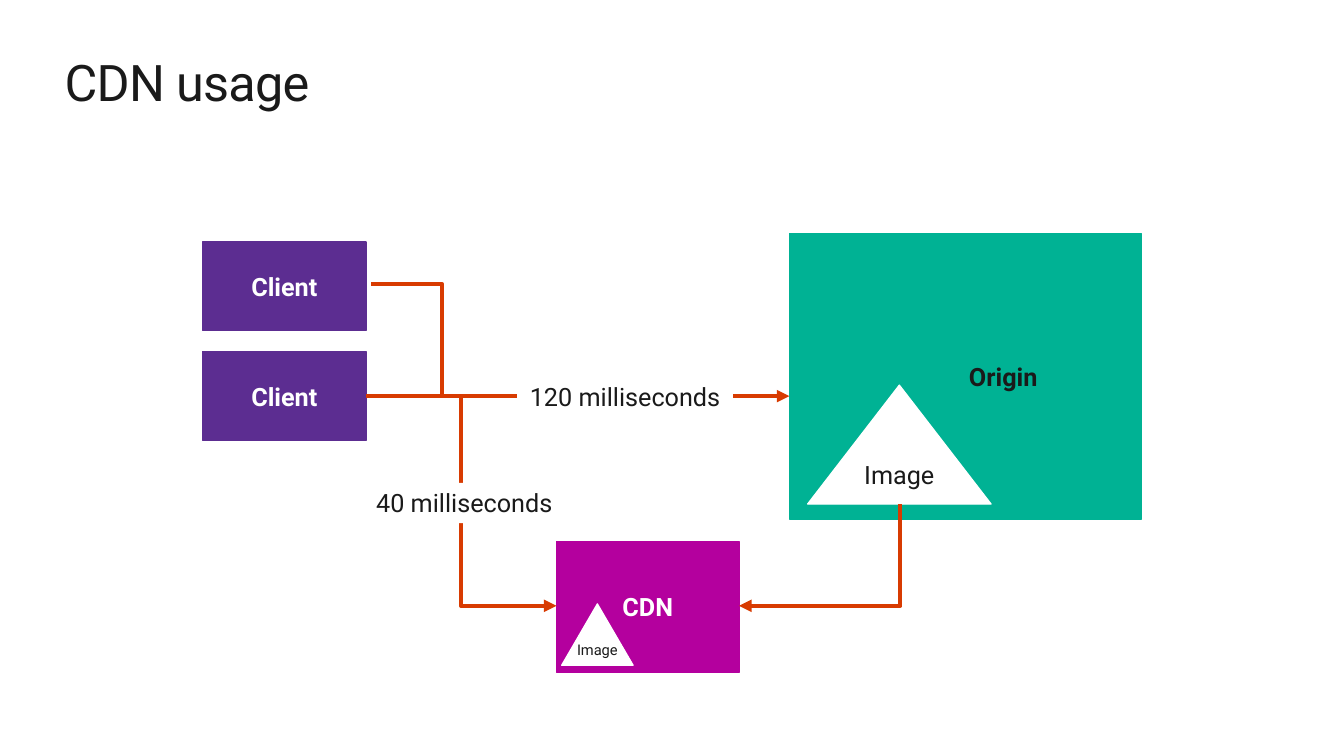
from dataclasses import dataclass

from lxml.etree import SubElement
from pptx import Presentation
from pptx.dml.color import RGBColor
from pptx.enum.shapes import MSO_CONNECTOR, MSO_SHAPE as Preset
from pptx.enum.text import MSO_ANCHOR as Anchor, MSO_AUTO_SIZE as AutoSize, PP_ALIGN as Align
from pptx.oxml.ns import qn
from pptx.slide import Slide
from pptx.text.text import TextFrame
from pptx.util import Inches, Pt

FONT = "Roboto"
COLORS = {
    "client": "5C2D91",
    "origin": "00B294",
    "cdn": "B4009E",
    "arrow": "D83B01",
    "white": "FFFFFF",
    "text": "1A1A1A",
}
Insets = tuple[float, float, float, float]
Point = tuple[float, float]


@dataclass
class Box:
    text: str
    left: float
    top: float
    width: float
    height: float
    fill: str
    color: str = "text"
    bold: bool = False
    size: float = 18
    preset: Preset = Preset.RECTANGLE
    insets: Insets = (0.1, 0.05, 0.1, 0.05)
    wrap: bool = True
    is_label: bool = False


@dataclass
class Elbow:
    start: Point
    end: Point
    bend: float = 0.5
    starts_down: bool = False


NODES = [
    Box("Client", 2.01, 2.4, 1.62, 0.88, "client", "white", True),
    Box("Client", 2.01, 3.49, 1.62, 0.88, "client", "white", True),
    Box("Origin", 7.83, 2.32, 3.49, 2.83, "origin", bold=True, insets=(0.79, 0, 0.04, 0)),
    Box("CDN", 5.52, 5.37, 1.81, 1.3, "cdn", "white", True),
    Box("Image", 5.57, 5.99, 0.71, 0.61, "white", size=10.5, preset=Preset.ISOSCELES_TRIANGLE,
        insets=(0, 0, 0, 0), wrap=False),
    Box("Image", 8.01, 3.82, 1.82, 1.18, "white", preset=Preset.ISOSCELES_TRIANGLE),
]
ELBOWS = [
    Elbow((8.93, 5), (7.33, 6.01), starts_down=True),
    Elbow((3.63, 3.93), (5.52, 6.01)),
    Elbow((3.68, 2.82), (7.83, 3.93), bend=0.17),
]
LABELS = [
    Box("120 milliseconds", 5.13, 3.73, 2.14, 0.4, "white", is_label=True),
    Box("40 milliseconds", 3.26, 4.79, 2.69, 0.4, "white", is_label=True),
]


def rgb(name: str) -> RGBColor:
    return RGBColor.from_string(COLORS[name])


def set_insets(tf: TextFrame, insets: Insets) -> None:
    tf.margin_left, tf.margin_top, tf.margin_right, tf.margin_bottom = map(Inches, insets)


def write(tf: TextFrame, text: str, size: float, color: str, bold: bool, align: Align) -> None:
    tf.text = text
    p = tf.paragraphs[0]
    p.alignment = align
    font = p.runs[0].font
    font.name, font.size, font.bold = FONT, Pt(size), bold
    font.color.rgb = rgb(color)


def add_title(slide: Slide, text: str) -> None:
    sp = slide.shapes.title
    sp.left, sp.top, sp.width, sp.height = map(Inches, (0.64, 0.51, 12.05, 0.61))
    tf = sp.text_frame
    write(tf, text, 36, "text", False, Align.LEFT)
    set_insets(tf, (0, 0, 0, 0))
    tf.vertical_anchor = Anchor.TOP
    tf.auto_size = AutoSize.SHAPE_TO_FIT_TEXT
    tf.paragraphs[0].runs[0].font._element.set("spc", "-50")


def add_box(slide: Slide, box: Box) -> None:
    frame = map(Inches, (box.left, box.top, box.width, box.height))
    sp = slide.shapes.add_shape(box.preset, *frame)
    sp.shadow.inherit = False
    sp.fill.solid()
    sp.fill.fore_color.rgb = rgb(box.fill)
    tf = sp.text_frame
    write(tf, box.text, box.size, box.color, box.bold, Align.CENTER)
    set_insets(tf, box.insets)
    tf.word_wrap = box.wrap
    if box.is_label:
        sp.line.fill.background()
        tf.vertical_anchor = Anchor.TOP
        tf.auto_size = AutoSize.SHAPE_TO_FIT_TEXT
    else:
        sp.line.color.rgb = rgb(box.fill)
        sp.line.width = Pt(0.85)
        tf.vertical_anchor = Anchor.MIDDLE


def add_elbow(slide: Slide, elbow: Elbow) -> None:
    """Draw an arrow that bends twice, or once if it starts downwards and ends to the left."""
    (x1, y1), (x2, y2) = elbow.start, elbow.end
    if elbow.starts_down:
        # A quarter turn about the centre swaps the width and height of the frame.
        cx, cy = (x1 + x2) / 2, (y1 + y2) / 2
        half_w, half_h = abs(y2 - y1) / 2, abs(x2 - x1) / 2
        x1, y1, x2, y2 = cx - half_w, cy - half_h, cx + half_w, cy + half_h
    line = slide.shapes.add_connector(MSO_CONNECTOR.ELBOW, *map(Inches, (x1, y1, x2, y2)))
    line.line.color.rgb = rgb("arrow")
    line.line.width = Pt(3)
    sp_pr = line._element.spPr
    geometry = sp_pr.find(qn("a:prstGeom"))
    if elbow.starts_down:
        geometry.set("prst", "bentConnector2")
        sp_pr.find(qn("a:xfrm")).set("rot", str(90 * 60000))
    else:
        guides = geometry.find(qn("a:avLst"))
        SubElement(guides, qn("a:gd"), name="adj1", fmla=f"val {round(elbow.bend * 100000)}")
    SubElement(sp_pr.find(qn("a:ln")), qn("a:tailEnd"), type="triangle")
    SubElement(sp_pr, qn("a:effectLst"))


def main() -> None:
    prs = Presentation()
    prs.slide_width, prs.slide_height = Inches(13.33), Inches(7.5)
    slide = prs.slides.add_slide(prs.slide_layouts.get_by_name("Title Only"))
    add_title(slide, "CDN usage")
    for node in NODES:
        add_box(slide, node)
    for elbow in ELBOWS:
        add_elbow(slide, elbow)
    for label in LABELS:
        add_box(slide, label)
    prs.save("out.pptx")


if __name__ == "__main__":
    main()
